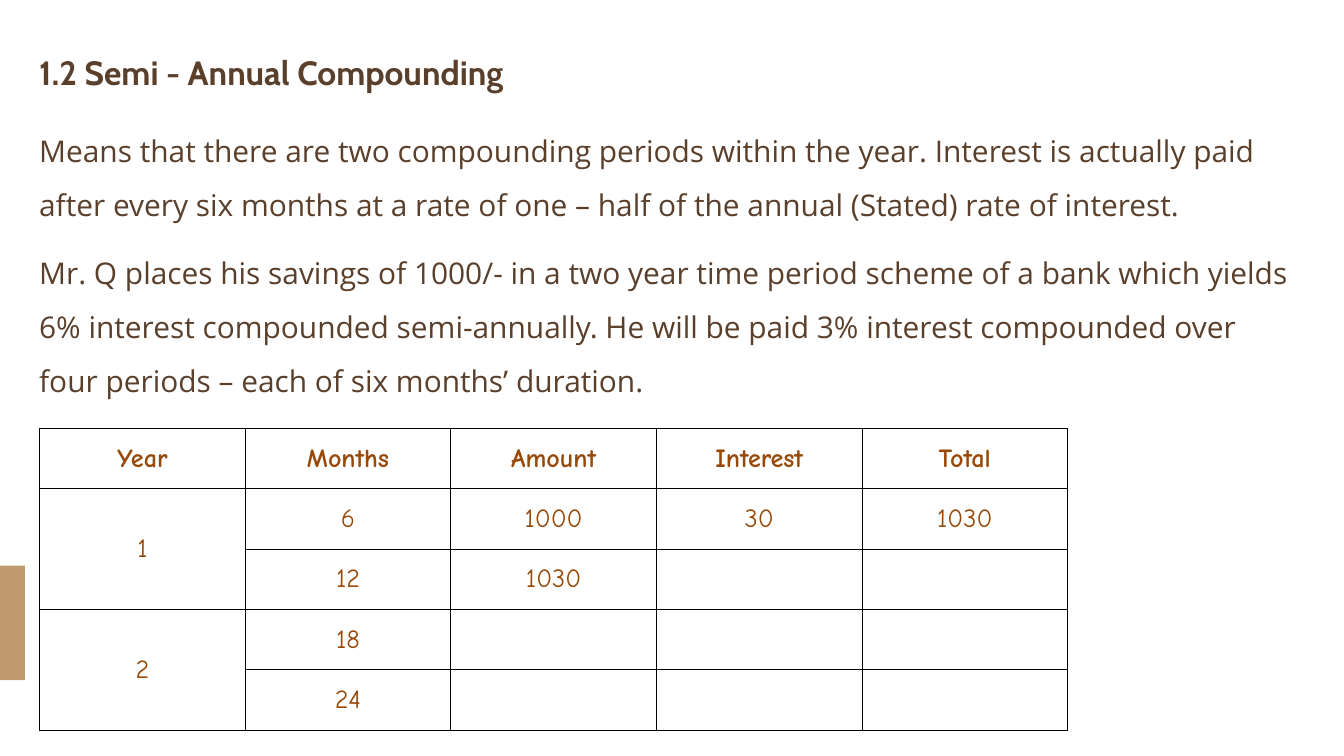
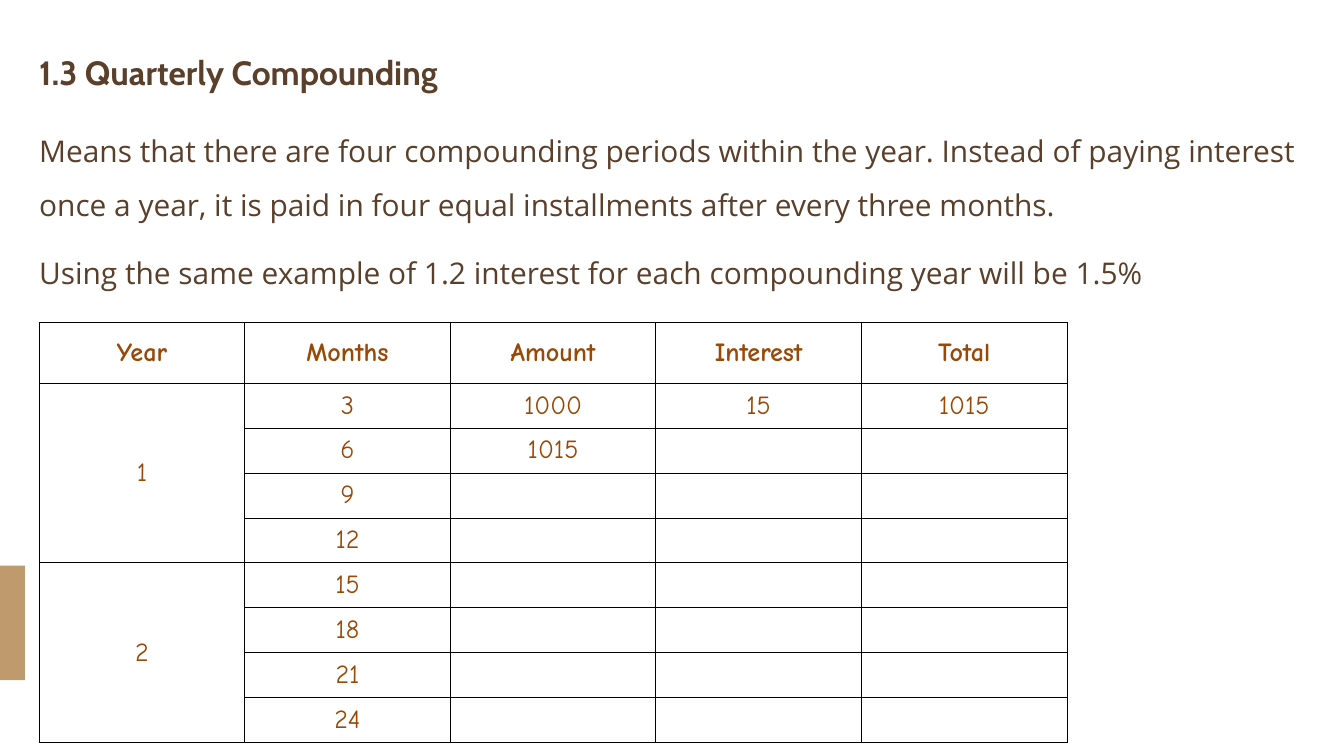
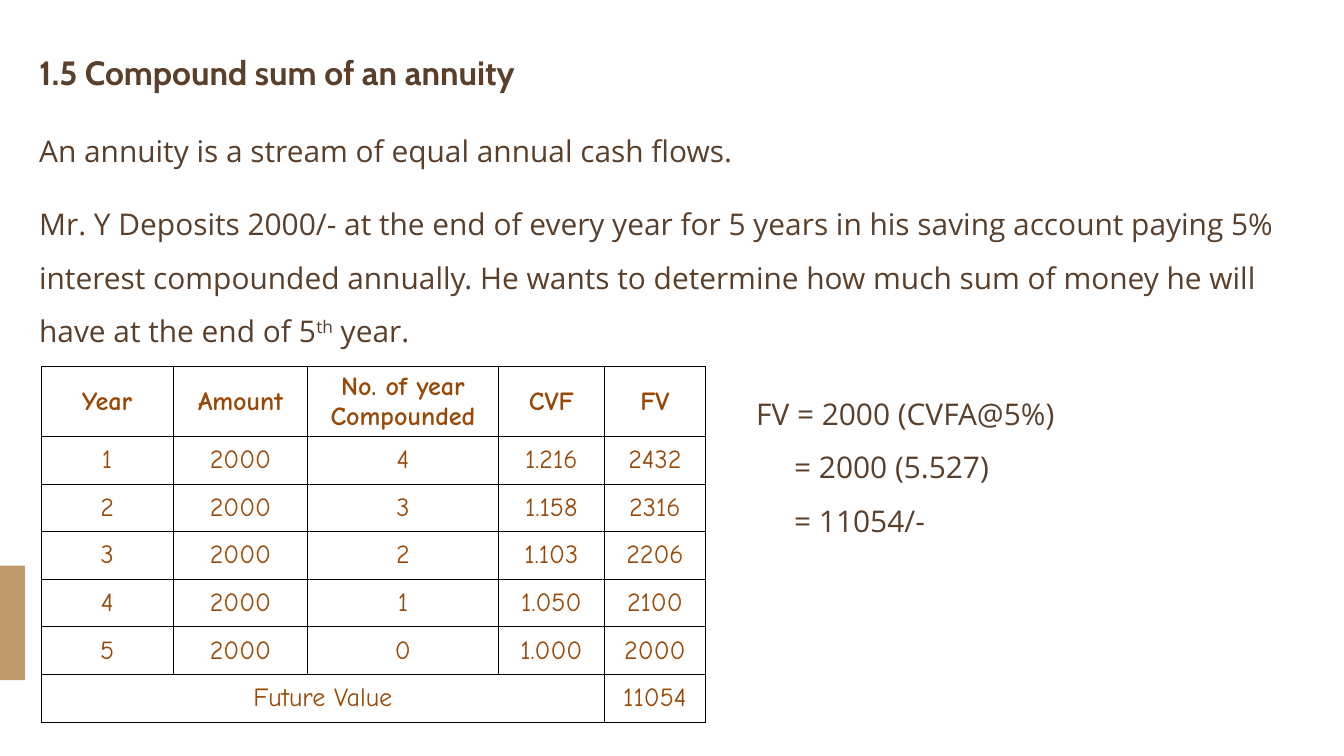
import pptx
import pptx.util
import pptx.dml.color
import pptx.enum.shapes
import pptx.enum.text
import pptx.oxml
import pptx.oxml.ns

Cm = pptx.util.Cm
Pt = pptx.util.Pt
ALIGN = pptx.enum.text.PP_ALIGN
ANCHOR = pptx.enum.text.MSO_ANCHOR

COLORS = {"text": "5A3F2B", "cell": "984807", "band": "BE9A6D", "rule": "000000"}
TITLE = ("Cabin", 36, True)
BODY = ("Open Sans", 32, False)
CELL = ("Comic Neue", 28)
LEFT, WIDE = 1.48, 47.63
LINE = 2.05
HEAD = ("Year", "Months", "Amount", "Interest", "Total")

SLIDES = [
    {
        "title": "1.2 Semi - Annual Compounding",
        "texts": [
            (4.34, 2, "Means that there are two compounding periods within the year. Interest is actually paid after every six months at a rate of one – half of the annual (Stated) rate of interest."),
            (8.96, 3, "Mr. Q places his savings of 1000/- in a two year time period scheme of a bank which yields 6% interest compounded semi-annually. He will be paid 3% interest compounded over four periods – each of six months’ duration."),
        ],
        "table": {
            "at": (1.5, 16.2), "cols": [7.77] * 5, "row": 2.28,
            "rows": [
                HEAD,
                ("1", "6", "1000", "30", "1030"),
                ("", "12", "1030", "", ""),
                ("2", "18", "", "", ""),
                ("", "24", "", "", ""),
            ],
            "spans": [(1, 0, 2, 0), (3, 0, 4, 0)],
        },
    },
    {
        "title": "1.3 Quarterly Compounding",
        "texts": [
            (4.34, 2, "Means that there are four compounding periods within the year. Instead of paying interest once a year, it is paid in four equal installments after every three months."),
            (8.96, 1, "Using the same example of 1.2 interest for each compounding year will be 1.5%"),
        ],
        "table": {
            "at": (1.48, 12.2), "cols": [7.77] * 5, "row": 1.7,
            "rows": [
                HEAD,
                ("1", "3", "1000", "15", "1015"),
                ("", "6", "1015", "", ""),
                ("", "9", "", "", ""),
                ("", "12", "", "", ""),
                ("2", "15", "", "", ""),
                ("", "18", "", "", ""),
                ("", "21", "", "", ""),
                ("", "24", "", "", ""),
            ],
            "spans": [(1, 0, 4, 0), (5, 0, 8, 0)],
        },
    },
    {
        "title": "1.5 Compound sum of an annuity",
        "texts": [
            (4.34, 1, "An annuity is a stream of equal annual cash flows."),
            (7.09, 3, "Mr. Y Deposits 2000/- at the end of every year for 5 years in his saving account paying 5% interest compounded annually. He wants to determine how much sum of money he will have at the end of 5^th^ year."),
        ],
        "table": {
            "at": (1.55, 13.87), "cols": [5, 5.08, 7.2, 4.02, 3.81], "row": 1.8,
            "rows": [
                ("Year", "Amount", "No. of year Compounded", "CVF", "FV"),
                ("1", "2000", "4", "1.216", "2432"),
                ("2", "2000", "3", "1.158", "2316"),
                ("3", "2000", "2", "1.103", "2206"),
                ("4", "2000", "1", "1.050", "2100"),
                ("5", "2000", "0", "1.000", "2000"),
                ("Future Value", "", "", "", "11054"),
            ],
            "spans": [(6, 0, 6, 3)],
        },
        "sums": ["FV = 2000 (CVFA@5%)", "= 2000 (5.527)", "= 11054/-"],
    },
]


def paint(name):
    return pptx.dml.color.RGBColor.from_string(COLORS[name])


def style(font, face, size, bold, color):
    font.name, font.size, font.bold = face, Pt(size), bold
    font.color.rgb = paint(color)


def write(slide, at, lines, look, indent=0):
    box = slide.shapes.add_textbox(*map(Cm, at))
    frame = box.text_frame
    frame.word_wrap = True
    frame.auto_size = pptx.enum.text.MSO_AUTO_SIZE.SHAPE_TO_FIT_TEXT
    frame.margin_left = frame.margin_right = 0
    frame.margin_top = frame.margin_bottom = 0
    for i, line in enumerate(lines):
        para = frame.paragraphs[0] if i == 0 else frame.add_paragraph()
        para.line_spacing = 1.5
        if i and indent:
            props = para._p.get_or_add_pPr()
            props.set("marL", str(Cm(indent)))
            props.set("indent", "0")
        for j, part in enumerate(line.split("^")):
            run = para.add_run()
            run.text = part
            style(run.font, *look, "text")
            if j % 2:
                run.font._element.set("baseline", "30000")


def border(cell):
    props = cell._tc.get_or_add_tcPr()
    for side in "LRTB":
        props.append(pptx.oxml.parse_xml(
            f'<a:ln{side} {pptx.oxml.ns.nsdecls("a")} w="{Pt(1)}"><a:solidFill>'
            f'<a:srgbClr val="{COLORS["rule"]}"/></a:solidFill></a:ln{side}>'))


def grid(slide, at, cols, row, rows, spans):
    tall = [2.28] + [row] * (len(rows) - 1)
    size = (sum(cols), sum(tall))
    table = slide.shapes.add_table(len(rows), len(cols), *map(Cm, at + size)).table
    table.first_row = table.horz_banding = False
    for col, width in zip(table.columns, cols):
        col.width = Cm(width)
    for r, texts in enumerate(rows):
        table.rows[r].height = Cm(tall[r])
        for c, text in enumerate(texts):
            cell = table.cell(r, c)
            border(cell)
            cell.fill.background()
            cell.vertical_anchor = ANCHOR.MIDDLE
            if text:
                cell.text_frame.text = text
                para = cell.text_frame.paragraphs[0]
                para.alignment = ALIGN.CENTER
                style(para.runs[0].font, *CELL, r == 0, "cell")
    for top, left, end, right in spans:
        table.cell(top, left).merge(table.cell(end, right))


def band(slide):
    shape = slide.shapes.add_shape(
        pptx.enum.shapes.MSO_SHAPE.RECTANGLE, 0, Cm(21.38), Cm(0.94), Cm(4.33))
    shape.shadow.inherit = False
    shape.fill.solid()
    shape.fill.fore_color.rgb = paint("band")
    shape.line.fill.background()


def main():
    deck = pptx.Presentation()
    deck.slide_width, deck.slide_height = Cm(50.8), Cm(28.58)
    for data in SLIDES:
        slide = deck.slides.add_slide(deck.slide_layouts[6])
        band(slide)
        write(slide, (LEFT, 1.22, WIDE, 2.03), [data["title"]], TITLE)
        for top, count, text in data["texts"]:
            write(slide, (LEFT, top, WIDE, count * LINE), [text], BODY)
        grid(slide, **data["table"])
        if "sums" in data:
            write(slide, (28.58, 14.27, 20.75, 3 * LINE), data["sums"], BODY, 1.44)
    deck.save("out.pptx")


if __name__ == "__main__":
    main()
